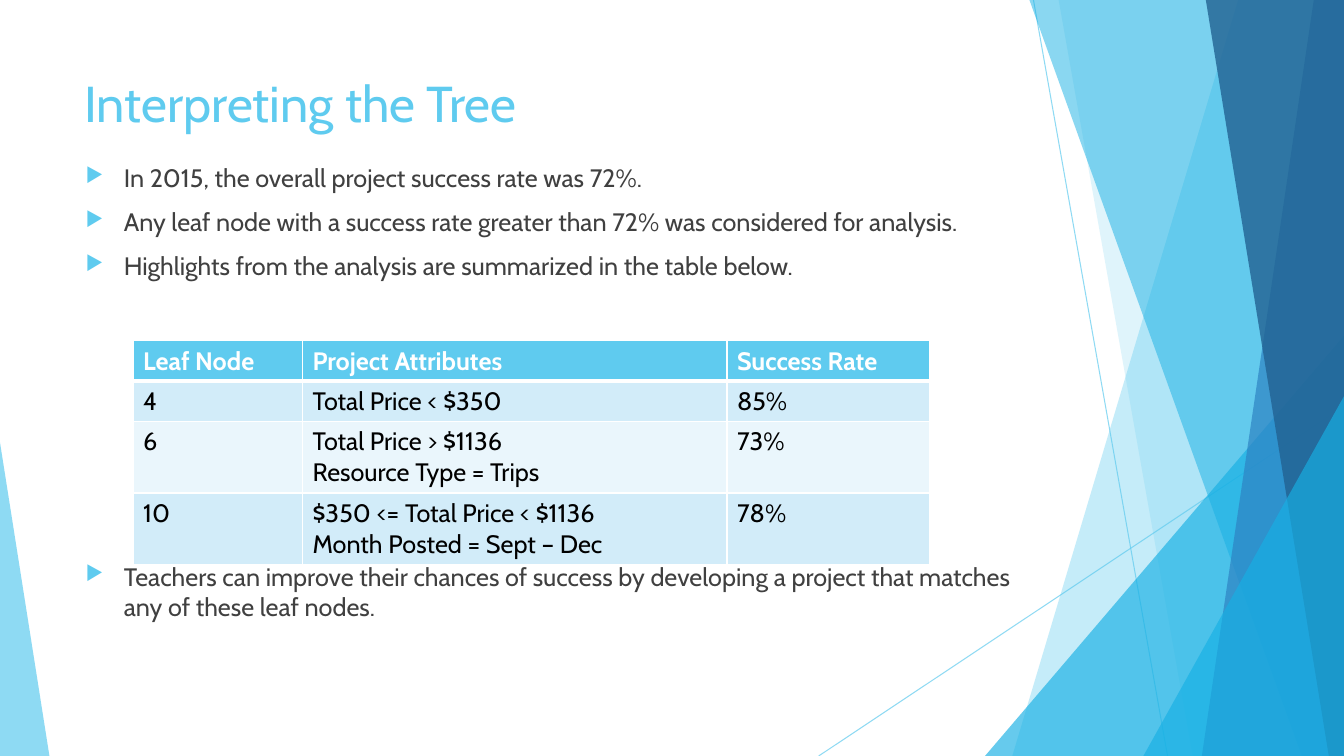
from lxml import etree
from pptx import Presentation
from pptx.dml.color import RGBColor
from pptx.enum import shapes, text
from pptx.oxml import ns
from pptx.util import Inches, Pt

W, H = 13.33, 7.5
FONT = "Cabin"
SKY, CYAN, BLUE, NAVY = "5FCBEF", "17B0E4", "2E83C3", "226292"
WHITE, BLACK, GRAY = "FFFFFF", "000000", "404040"

TITLE = "Interpreting the Tree"
BULLETS = [
    ("In 2015, the overall project success rate was 72%.", 10),
    ("Any leaf node with a success rate greater than 72% was considered for analysis.", 10),
    ("Highlights from the analysis are summarized in the table below.", 10),
    ("Teachers can improve their chances of success by developing a project "
     "that matches any of these leaf nodes.", 200),
]
ROWS = [
    ["Leaf Node", "Project Attributes", "Success Rate"],
    ["4", "Total Price < $350", "85%"],
    ["6", "Total Price > $1136\nResource Type = Trips", "73%"],
    ["10", "$350 <= Total Price < $1136\nMonth Posted = Sept – Dec", "78%"],
]
COL_WIDTHS = [1.68, 4.21, 2.01]
ROW_HEIGHTS = [0.4, 0.4, 0.71, 0.71]
ROW_FILLS = [SKY, "D2ECF9", "EAF6FC", "D2ECF9"]

RAYS = [((10.25, 0), (11.58, H)), ((W, 4.03), (8.12, H))]
FACETS = [
    ("band", 12.28, 10.04, SKY, 36),
    ("band", 10.5, 11.83, SKY, 20),
    ("triangle", 9.77, 3.33, 3.56, 1, CYAN, 66),
    ("band", 10.21, 12.91, CYAN, 50),
    ("band", 13.03, 11.92, BLUE, 70),
    ("band", 11.96, 13.18, NAVY, 80),
    ("triangle", 11.34, 3.93, 1.99, 1, CYAN, 66),
    ("triangle", 0, 4.39, 0.49, 0, SKY, 70),
]


def rgb(value):
    return RGBColor.from_string(value)


def add_xml(parent, tag, **attrs):
    return etree.SubElement(parent, ns.qn(tag), attrs)


def set_alpha(el, percent):
    color = el.find(".//" + ns.qn("a:srgbClr"))
    add_xml(color, "a:alpha", val=str(percent * 1000))


def add_ray(start, end):
    c = s.shapes.add_connector(shapes.MSO_CONNECTOR.STRAIGHT, *map(Inches, start + end))
    c.line.width = Pt(0.75)
    c.line.color.rgb = rgb(SKY)
    set_alpha(c.line._get_or_add_ln(), 70)
    add_xml(c._element.spPr, "a:effectLst")


def add_facet(kind, *geometry, color, alpha):
    if kind == "band":
        top, bottom = geometry
        fb = s.shapes.build_freeform(Inches(top), 0, scale=1.0)
        corners = [(W, 0), (W, H), (bottom, H)]
        fb.add_line_segments([(Inches(x), Inches(y)) for x, y in corners], close=True)
        sp = fb.convert_to_shape()
    else:
        x, y, w, apex = geometry
        sp = s.shapes.add_shape(shapes.MSO_SHAPE.ISOSCELES_TRIANGLE,
                                *map(Inches, (x, y, w, H - y)))
        sp.adjustments[0] = apex
    sp.shadow.inherit = False
    sp.line.fill.background()
    sp.fill.solid()
    sp.fill.fore_color.rgb = rgb(color)
    set_alpha(sp._element.spPr, alpha)


def write(p, content, color, size=18, bold=False):
    r = p.add_run()
    r.text = content
    for name, value in {"name": FONT, "size": Pt(size), "bold": bold}.items():
        setattr(r.font, name, value)
    r.font.color.rgb = rgb(color)


def add_frame(x, y, w, h):
    tf = s.shapes.add_textbox(*map(Inches, (x, y, w, h))).text_frame
    tf.word_wrap = True
    tf.vertical_anchor = text.MSO_ANCHOR.TOP
    return tf


def add_bullet(p, content, space):
    p.space_before = Pt(space)
    pPr = p._p.get_or_add_pPr()
    pPr.set("marL", str(Inches(0.38)))
    pPr.set("indent", str(Inches(-0.38)))
    add_xml(add_xml(pPr, "a:buClr"), "a:srgbClr", val=SKY)
    add_xml(pPr, "a:buSzPct", val="80000")
    add_xml(pPr, "a:buChar", char="▶")
    write(p, content, GRAY)


def fill_cell(cell, content, fill, header):
    tcPr = cell._tc.get_or_add_tcPr()
    for side in "LRTB":
        width = 3 if header and side == "B" else 1
        ln = add_xml(tcPr, "a:ln" + side, w=str(Pt(width)))
        add_xml(add_xml(ln, "a:solidFill"), "a:srgbClr", val=WHITE)
    cell.fill.solid()
    cell.fill.fore_color.rgb = rgb(fill)
    tf = cell.text_frame
    for i, line in enumerate(content.split("\n")):
        p = tf.add_paragraph() if i else tf.paragraphs[0]
        write(p, line, WHITE if header else BLACK, bold=header)


prs = Presentation()
prs.slide_width, prs.slide_height = Inches(W), Inches(H)
s = prs.slides.add_slide(prs.slide_layouts[6])

for start, end in RAYS:
    add_ray(start, end)
for *facet, color, alpha in FACETS:
    add_facet(*facet, color=color, alpha=alpha)

write(add_frame(0.74, 0.67, 9.4, 1.44).paragraphs[0], TITLE, SKY, size=36)

body = add_frame(0.75, 1.56, 9.4, 5.04)
for i, (content, space) in enumerate(BULLETS):
    add_bullet(body.add_paragraph() if i else body.paragraphs[0], content, space)

table = s.shapes.add_table(len(ROWS), len(COL_WIDTHS), *map(
    Inches, (1.32, 3.38, sum(COL_WIDTHS), sum(ROW_HEIGHTS)))).table
table.horz_banding = False
for col, width in zip(table.columns, COL_WIDTHS):
    col.width = Inches(width)
for i, (row, height) in enumerate(zip(table.rows, ROW_HEIGHTS)):
    row.height = Inches(height)
    for cell, content in zip(row.cells, ROWS[i]):
        fill_cell(cell, content, ROW_FILLS[i], header=i == 0)

prs.save("out.pptx")
